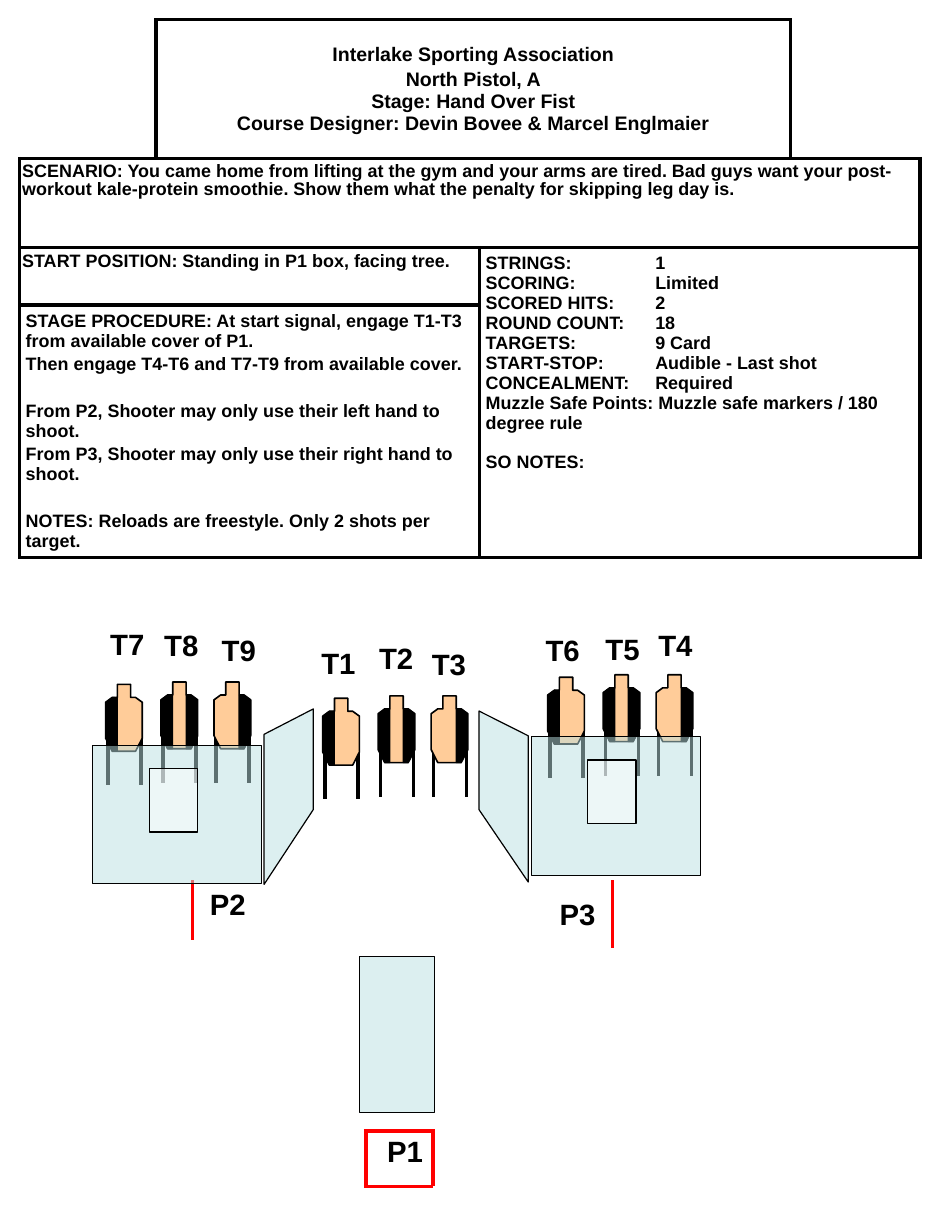
from dataclasses import dataclass

from lxml.etree import SubElement
from pptx import Presentation
from pptx.dml.color import RGBColor as Color
from pptx.enum.shapes import MSO_CONNECTOR as Connector, MSO_SHAPE as Preset
from pptx.enum.text import MSO_ANCHOR as Anchor, PP_ALIGN as Align
from pptx.oxml.ns import qn
from pptx.util import Pt


@dataclass(frozen=True)
class Theme:
    font: str = "Arial"
    ink: str = "000000"
    paper: str = "FFFFFF"
    marker: str = "FF0000"
    wall: str = "BBE0E3"
    target: str = "FFCC99"
    title_size: float = 12
    body_size: float = 11
    label_size: float = 18
    border: float = 2.25
    marker_line: float = 2
    wall_line: float = 0.75


COLUMNS = [83.5, 198.7, 190.8, 79.2]
ROWS = [85, 54.7, 35.3, 154.8]
VALUE_TAB = 104

# Each paragraph is its text and the space before it.
TITLE = [
    ("Interlake Sporting Association", 0),
    ("North Pistol, A\nStage: Hand Over Fist\n"
     "Course Designer: Devin Bovee & Marcel Englmaier", 2),
]
SCENARIO = [("SCENARIO: You came home from lifting at the gym and your arms are tired. "
             "Bad guys want your post-workout kale-protein smoothie. "
             "Show them what the penalty for skipping leg day is.", 0)]
START = [("START POSITION: Standing in P1 box, facing tree.", 0)]
PROCEDURE = [
    ("STAGE PROCEDURE: At start signal, engage T1-T3 from available cover of P1.", 0),
    ("Then engage T4-T6 and T7-T9 from available cover.", 2.2),
    ("From P2, Shooter may only use their left hand to shoot.", 16.5),
    ("From P3, Shooter may only use their right hand to shoot.", 2.2),
    ("NOTES: Reloads are freestyle. Only 2 shots per target.", 16.5),
]
RULES = [
    ("STRINGS:\t1", 0),
    ("SCORING:\tLimited", 0),
    ("SCORED HITS:\t2", 0),
    ("ROUND COUNT:\t18", 0),
    ("TARGETS:\t9 Card", 0),
    ("START-STOP:\tAudible - Last shot", 0),
    ("CONCEALMENT:\tRequired", 0),
    ("Muzzle Safe Points: Muzzle safe markers / 180 degree rule", 0),
    ("SO NOTES:", 12),
]

LABELS = {
    "P1": (230.4, 692), "P2": (121.7, 540), "P3": (336.2, 546.5),
    "T1": (190, 392.4), "T2": (225.4, 389.5), "T3": (257.8, 393),
    "T4": (396.7, 381.6), "T5": (364.3, 383.8), "T6": (327.6, 384.5),
    "T7": (60.5, 381), "T8": (93.6, 381.6), "T9": (128.9, 384.5),
}
MARKERS = [
    ((118, 540), (118, 576.7)), ((375.8, 540), (375.8, 581.8)),
    ((223.2, 694), (265.7, 694)), ((223.2, 728), (265.7, 728)),
    ((224.6, 693), (224.6, 727.5)), ((265.7, 693), (265.7, 727.5)),
]

TARGET_WIDTH = 22.5
TARGET_BODY = [(7.2, 0), (15.4, 0), (15.4, 8), (18.4, 8), (22.5, 11), (22.5, 33),
               (18.4, 41), (4.1, 41), (0, 33), (0, 11), (4.1, 8), (7.2, 8)]
RIGHT_SHADE = [(15.4, 8.2), (15.4, 41), (18.4, 41), (22.2, 33), (22.2, 11), (18.4, 8)]
LEFT_SHADE = [(TARGET_WIDTH - x, y) for x, y in RIGHT_SHADE]
LEGS = [1.4, 21.6]
TARGET_TRIO = [
    (0, 0, [LEFT_SHADE]),
    (34, -1.5, [RIGHT_SHADE, LEFT_SHADE]),
    (66.5, -1.5, [RIGHT_SHADE]),
]
TRIO_ORIGINS = [(198, 428.5), (64.8, 420), (336, 415.6)]
WINDOW_WALLS = [(57, 457.3), (326.1, 452)]
SIDE_WALLS = [
    [(192.2, 496.8), (162, 542.7), (162, 450.6), (192.2, 435)],
    [(293.8, 496.8), (324, 541.2), (324, 451.5), (293.8, 436.3)],
]


class StagePage:
    def __init__(self, page, theme):
        self.page, self.theme = page, theme

    def style_spans(self, para, size):
        for span in para.runs:
            span.font.name = self.theme.font
            span.font.size = Pt(size)
            span.font.bold = True
            span.font.color.rgb = Color.from_string(self.theme.ink)

    def border(self, cell, sides):
        """Draw the named sides in ink and leave the others open."""
        properties = cell._tc.get_or_add_tcPr()
        for side in "LRTB":
            line = SubElement(properties, qn(f"a:ln{side}"), w=str(Pt(self.theme.border)))
            if side in sides:
                fill = SubElement(line, qn("a:solidFill"))
                SubElement(fill, qn("a:srgbClr"), val=self.theme.ink)
            else:
                SubElement(line, qn("a:noFill"))

    def fill_cell(self, cell, paragraphs, margins=(3.6, 3.6), size=None,
                  align=Align.LEFT, spacing=None):
        cell.margin_left = cell.margin_right = Pt(margins[0])
        cell.margin_top = cell.margin_bottom = Pt(margins[1])
        frame = cell.text_frame
        for index, (text, space) in enumerate(paragraphs):
            para = frame.add_paragraph() if index else frame.paragraphs[0]
            para.text = text
            para.alignment = align
            if spacing:
                para.line_spacing = spacing
            if space:
                para.space_before = Pt(space)
            if "\t" in text:
                tabs = SubElement(para._p.get_or_add_pPr(), qn("a:tabLst"))
                SubElement(tabs, qn("a:tab"), pos=str(Pt(VALUE_TAB)), algn="l")
            self.style_spans(para, size or self.theme.body_size)

    def briefing(self, left, top):
        frame = self.page.shapes.add_table(len(ROWS), len(COLUMNS), Pt(left), Pt(top),
                                           Pt(sum(COLUMNS)), Pt(sum(ROWS)))
        table = frame.table
        table.first_row = table.horz_banding = False
        for column, width in zip(table.columns, COLUMNS):
            column.width = Pt(width)
        for row, height in zip(table.rows, ROWS):
            row.height = Pt(height)
        open_corners = {(0, 0): "RB", (0, 3): "LB"}
        for r in range(len(ROWS)):
            for c in range(len(COLUMNS)):
                cell = table.cell(r, c)
                self.border(cell, open_corners.get((r, c), "LRTB"))
                cell.fill.solid()
                cell.fill.fore_color.rgb = Color.from_string(self.theme.paper)
        for first, last in [((0, 1), (0, 2)), ((1, 0), (1, 3)), ((2, 0), (2, 1)),
                            ((2, 2), (3, 3)), ((3, 0), (3, 1))]:
            table.cell(*first).merge(table.cell(*last))
        table.cell(0, 1).vertical_anchor = Anchor.MIDDLE
        self.fill_cell(table.cell(0, 1), TITLE, size=self.theme.title_size, align=Align.CENTER)
        self.fill_cell(table.cell(1, 0), SCENARIO, margins=(1.4, 2.9), spacing=0.9)
        self.fill_cell(table.cell(2, 0), START, margins=(1.4, 2.2))
        self.fill_cell(table.cell(2, 2), RULES)
        self.fill_cell(table.cell(3, 0), PROCEDURE)

    def label(self, text, left, top):
        box = self.page.shapes.add_textbox(Pt(left), Pt(top), Pt(41.8), Pt(28.8))
        box.text_frame.word_wrap = True
        box.text_frame.text = text
        self.style_spans(box.text_frame.paragraphs[0], self.theme.label_size)

    def line(self, start, end, color, width, shapes=None):
        shapes = self.page.shapes if shapes is None else shapes
        line = shapes.add_connector(Connector.STRAIGHT, *map(Pt, start + end))
        line.line.color.rgb = Color.from_string(color)
        line.line.width = Pt(width)
        SubElement(line._element.spPr, qn("a:effectLst"))

    def paint(self, shape, color, width, alpha=None):
        shape.shadow.inherit = False
        shape.fill.solid()
        shape.fill.fore_color.rgb = Color.from_string(color)
        if alpha:
            tint = shape._element.spPr.find(".//" + qn("a:srgbClr"))
            SubElement(tint, qn("a:alpha"), val=str(alpha * 1000))
        shape.line.color.rgb = Color.from_string(self.theme.ink)
        shape.line.width = Pt(width)

    def outline(self, points, color, width, alpha=None, shapes=None):
        shapes = self.page.shapes if shapes is None else shapes
        first, *rest = [(Pt(x), Pt(y)) for x, y in points]
        builder = shapes.build_freeform(*first)
        builder.add_line_segments(rest, close=True)
        self.paint(builder.convert_to_shape(), color, width, alpha)

    def panel(self, left, top, width, height, color, shapes=None):
        shapes = self.page.shapes if shapes is None else shapes
        panel = shapes.add_shape(Preset.RECTANGLE, Pt(left), Pt(top), Pt(width), Pt(height))
        self.paint(panel, color, self.theme.wall_line, alpha=50)

    def target(self, left, top, shades):
        shapes = self.page.shapes.add_group_shape().shapes
        for x in LEGS:
            self.line((left + x, top + 30.2), (left + x, top + 62), self.theme.ink,
                      self.theme.border, shapes)
        parts = [(TARGET_BODY, self.theme.target, 1)]
        parts += [(shade, self.theme.ink, 0) for shade in shades]
        for points, color, width in parts:
            self.outline([(left + x, top + y) for x, y in points], color, width, shapes=shapes)

    def window_wall(self, left, top):
        shapes = self.page.shapes.add_group_shape().shapes
        self.panel(left, top, 103.7, 85, self.theme.wall, shapes)
        self.panel(left + 34.5, top + 14.4, 29.5, 38.9, self.theme.paper, shapes)


def main():
    deck = Presentation()
    deck.slide_width, deck.slide_height = Pt(576), Pt(756)
    theme = Theme()
    stage = StagePage(deck.slides.add_slide(deck.slide_layouts[6]), theme)
    stage.briefing(12.2, 12.2)
    for text, place in LABELS.items():
        stage.label(text, *place)
    for start, end in MARKERS:
        stage.line(start, end, theme.marker, theme.marker_line)
    for left, top in TRIO_ORIGINS:
        for dx, dy, shades in TARGET_TRIO:
            stage.target(left + dx, top + dy, shades)
    for place, side in zip(WINDOW_WALLS, SIDE_WALLS):
        stage.window_wall(*place)
        stage.outline(side, theme.wall, theme.wall_line, alpha=50)
    stage.panel(220.3, 586.8, 46.4, 95.8, theme.wall)
    deck.save("out.pptx")


if __name__ == "__main__":
    main()
